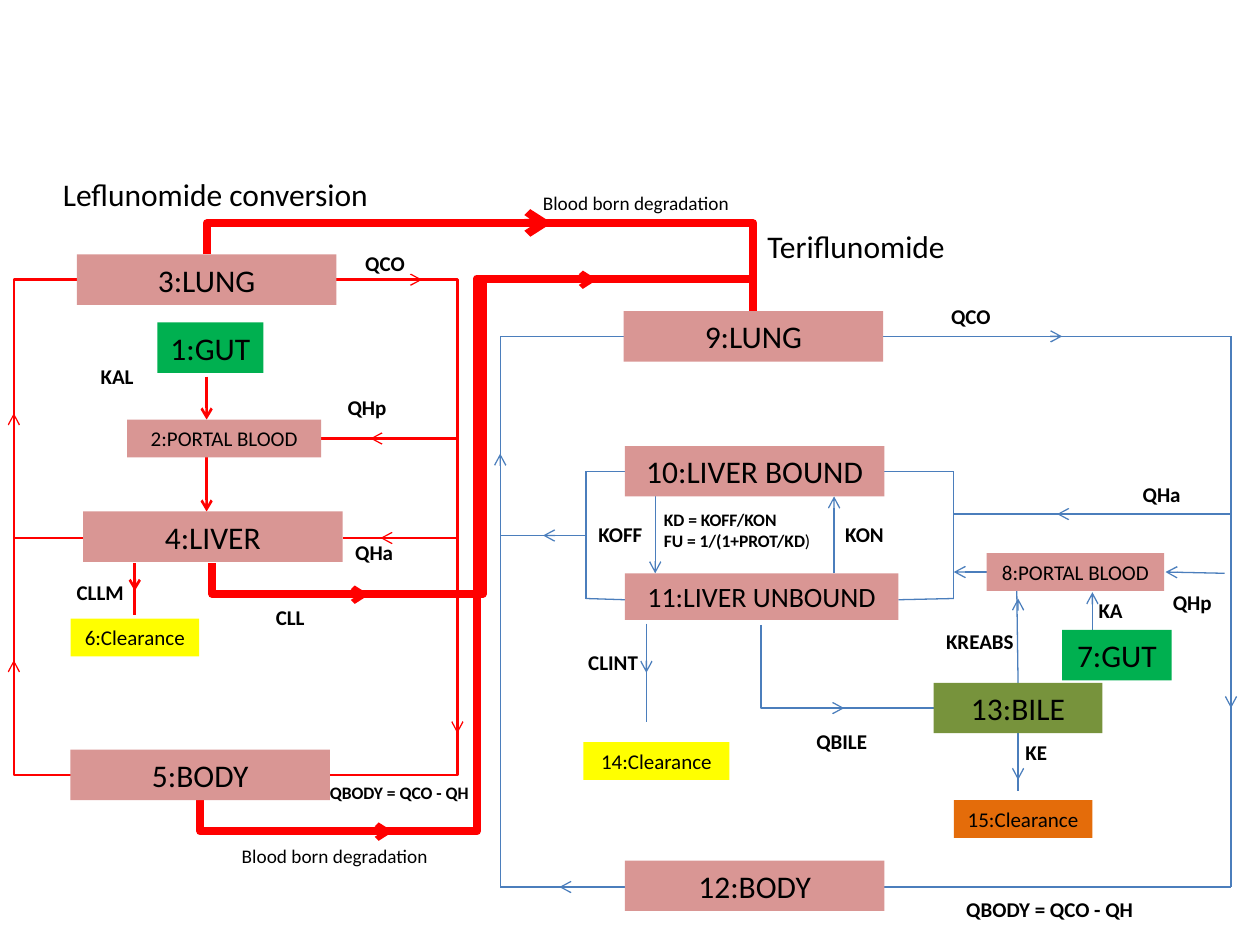
from lxml import etree
from pptx import Presentation
from pptx import util as u
from pptx.dml.color import RGBColor
from pptx.enum import shapes, text
from pptx.oxml.ns import qn

COLORS = {
    "tissue": "D99694", "gut": "00B050", "bile": "77933C",
    "clearance": "FFFF00", "excretion": "E46C0A",
    "parent": "FF0000", "metabolite": "4B7EBC", "ink": "000000",
}
FONT = "Calibri"

# Vertical rails and levels of the two circuits, in inches
P_LEFT, P_RIGHT, P_GUT = 0.11, 3.63, 1.64
M_LEFT, M_RIGHT, M_IN, M_OUT = 3.97, 9.77, 7.57, 4.65
M_LUNG, M_BODY, M_BOUND, M_UNBOUND = 2.67, 7.04, 3.74, 4.75
BILE_X = 8.08

# Compartments: text, left, top, width, height, size, colour
COMPARTMENTS = [
    ("3:LUNG", 0.61, 2.02, 2.06, 0.4, 18, "tissue"),
    ("1:GUT", 1.25, 2.56, 0.84, 0.4, 18, "gut"),
    ("2:PORTAL BLOOD", 1.01, 3.33, 1.54, 0.3, 12, "tissue"),
    ("4:LIVER", 0.66, 4.06, 2.06, 0.4, 18, "tissue"),
    ("6:Clearance", 0.56, 4.91, 1.02, 0.3, 12, "clearance"),
    ("5:BODY", 0.56, 5.95, 2.06, 0.4, 18, "tissue"),
    ("9:LUNG", 4.95, 2.47, 2.06, 0.4, 18, "tissue"),
    ("10:LIVER BOUND", 4.96, 3.54, 2.06, 0.4, 18, "tissue"),
    ("11:LIVER UNBOUND", 4.96, 4.55, 2.17, 0.37, 16, "tissue"),
    ("8:PORTAL BLOOD", 7.83, 4.39, 1.41, 0.3, 12, "tissue"),
    ("7:GUT", 8.43, 5, 0.87, 0.4, 18, "gut"),
    ("13:BILE", 7.41, 5.42, 1.34, 0.4, 18, "bile"),
    ("14:Clearance", 4.63, 5.89, 1.16, 0.3, 12, "clearance"),
    ("15:Clearance", 7.57, 6.35, 1.1, 0.3, 12, "excretion"),
    ("12:BODY", 4.96, 6.83, 2.06, 0.4, 18, "tissue"),
]

# Plain flows: colour, width, (x1, y1, x2, y2)
FLOWS = [
    ("metabolite", 0.75, [
        (7.01, M_LUNG, M_RIGHT, M_LUNG), (M_RIGHT, M_LUNG, M_RIGHT, M_BODY),
        (7.02, M_BODY, M_RIGHT, M_BODY), (M_IN, 4.08, M_RIGHT, 4.08),
        (7.02, M_BOUND, M_IN, M_BOUND), (7.13, 4.76, M_IN, M_UNBOUND),
        (M_IN, M_BOUND, M_IN, M_UNBOUND), (BILE_X, 5.42, 8.07, 4.69),
        (M_LEFT, M_LUNG, M_LEFT, M_BODY), (4.95, M_LUNG, M_LEFT, M_LUNG),
        (4.96, M_BODY, M_LEFT, M_BODY), (4.96, M_BOUND, M_OUT, M_BOUND),
        (4.96, 4.76, M_OUT, M_UNBOUND), (M_OUT, M_BOUND, M_OUT, M_UNBOUND),
        (M_OUT, 4.25, M_LEFT, 4.25), (5.13, 4.95, 5.13, 5.73),
        (BILE_X, 5.82, BILE_X, 6.28)]),
    ("parent", 1.5, [
        (2.72, 4.27, P_RIGHT, 4.27), (P_LEFT, 4.27, 0.66, 4.27),
        (2.55, 3.48, P_RIGHT, 3.48), (1.07, 4.47, 1.07, 4.88)]),
]

# Flows with an arrowhead at the second point
ARROWS = [
    ("metabolite", 0.75, [
        (8.43, 4.08, 8.39, 4.08), (M_LEFT, 3.74, M_LEFT, 3.6),
        (M_RIGHT, 5.34, M_RIGHT, 5.62), (6.54, 5.62, 6.7, 5.62),
        (5.13, 5.29, 5.13, 5.34), (8.28, M_LUNG, 8.43, M_LUNG),
        (4.47, M_BODY, 4.44, M_BODY), (4.44, 4.25, 4.31, 4.25),
        (5.2, 3.94, 5.2, 4.55), (6.62, 4.55, 6.62, 3.94),
        (BILE_X, 4.76, BILE_X, 4.75), (BILE_X, 6.12, BILE_X, 6.19),
        (7.83, 4.54, M_IN, 4.54), (9.72, 4.55, 9.25, 4.54),
        (8.67, 5, 8.67, 4.7)]),
    ("parent", 0.75, [
        (3.19, 2.22, 3.35, 2.22), (3.16, 4.27, 3.02, 4.27),
        (P_RIGHT, 5.48, P_RIGHT, 5.82), (P_LEFT, 5.34, P_LEFT, 5.24),
        (P_LEFT, 3.38, P_LEFT, 3.28), (3.09, 3.48, 2.94, 3.48)]),
    ("parent", 1.5, [
        (P_GUT, 2.99, P_GUT, 3.33), (P_GUT, 3.63, P_GUT, 4.06),
        (1.07, 4.6, 1.07, 4.69)]),
    ("parent", 3, [
        (4.4, 2.22, 4.74, 2.22), (2.59, 4.72, 2.93, 4.72),
        (2.78, 6.6, 3.12, 6.6)]),
    ("parent", 4.5, [(4.13, 1.77, 4.38, 1.77)]),
]

# Elbows: colour, width, ends before turning, turn, preset, bends in percent.
# The 1.5 point pair bends out to the two rails of the parent circuit.
ELBOWS = [
    ("metabolite", 0.75, (7.06, 4.6, 6.4, 5.98), 270, "bentConnector2", []),
    ("parent", 1.5, (2.67, 2.22, 2.62, 6.15), 0, "bentConnector3",
     [100 * (2.67 - P_RIGHT) / 0.05]),
    ("parent", 1.5, (0.56, 6.15, 0.61, 2.22), 180, "bentConnector3",
     [100 * (0.61 - P_LEFT) / 0.05]),
    ("parent", 4.5, (4.03, 0.07, 3.59, 4.41), 270, "bentConnector3", [-56.2]),
    ("parent", 4.5, (4.83, 5.61, 2.83, 1.32), 270, "bentConnector5",
     [-12.5, 50, 112.5]),
    ("parent", 4.5, (5.73, 6.6, 1.84, 2.21), 90, "bentConnector5",
     [-6.4, 50, 106.4]),
]

# Bold rate labels at 12 points: text, left, top, width
RATES = [
    ("QCO", 2.8, 1.94, 0.52), ("KAL", 0.7, 2.84, 0.74),
    ("QHp", 2.66, 3.08, 0.52), ("QHa", 2.72, 4.23, 0.52),
    ("CLLM", 0.51, 4.55, 0.79), ("CLL", 2.09, 4.75, 0.92),
    ("QCO", 7.45, 2.36, 0.52), ("QHa", 8.97, 3.77, 0.52),
    ("KOFF", 4.65, 4.09, 0.72), ("KON", 6.61, 4.09, 0.72),
    ("QHp", 9.21, 4.63, 0.52), ("KA", 8.62, 4.69, 0.62),
    ("KREABS", 7.41, 4.94, 0.79), ("CLINT", 4.57, 5.11, 0.79),
    ("QBILE", 6.38, 5.73, 0.62), ("KE", 8.04, 5.82, 0.79),
    ("QBODY = QCO - QH", 7.57, 7.07, 1.56),
]


def cm(inches):
    return u.Cm(inches * 2.54)


def rgb(name):
    return RGBColor.from_string(COLORS[name])


def style(run, size, bold=False):
    run.font.name, run.font.size, run.font.bold = FONT, u.Pt(size), bold
    run.font.color.rgb = rgb("ink")


def write(frame, words, size, bold=False, align=text.PP_ALIGN.LEFT):
    frame.word_wrap = True
    frame.text = words
    for paragraph in frame.paragraphs:
        paragraph.alignment = align
        for run in paragraph.runs:
            style(run, size, bold)


def add_compartment(slide, words, left, top, width, height, size, color):
    box = slide.shapes.add_shape(shapes.MSO_SHAPE.RECTANGLE,
                                 *map(cm, (left, top, width, height)))
    box.shadow.inherit = False
    box.fill.solid()
    box.fill.fore_color.rgb = rgb(color)
    box.line.fill.background()
    frame = box.text_frame
    frame.margin_left = frame.margin_right = u.Cm(0.1)
    frame.vertical_anchor = text.MSO_ANCHOR.MIDDLE
    write(frame, words, size, align=text.PP_ALIGN.CENTER)


def add_label(slide, words, left, top, width, height=0.3, size=12, bold=True,
              align=text.PP_ALIGN.LEFT):
    label = slide.shapes.add_textbox(*map(cm, (left, top, width, height)))
    write(label.text_frame, words, size, bold, align)
    return label


def add_flow(slide, color, width, ends, head=False,
             kind=shapes.MSO_CONNECTOR.STRAIGHT):
    flow = slide.shapes.add_connector(kind, *map(cm, ends))
    flow.line.color.rgb = rgb(color)
    flow.line.width = u.Pt(width)
    properties = flow._element.spPr
    if head:
        etree.SubElement(properties.find(qn("a:ln")), qn("a:tailEnd"), type="arrow")
    etree.SubElement(properties, qn("a:effectLst"))
    return flow


def add_elbow(slide, color, width, ends, turn, preset, bends):
    elbow = add_flow(slide, color, width, ends, kind=shapes.MSO_CONNECTOR.ELBOW)
    properties = elbow._element.spPr
    properties.find(qn("a:xfrm")).set("rot", str(turn * 60000))
    geometry = properties.find(qn("a:prstGeom"))
    geometry.set("prst", preset)
    guides = geometry.find(qn("a:avLst"))
    if guides is None:
        guides = etree.SubElement(geometry, qn("a:avLst"))
    for number, bend in enumerate(bends, 1):
        etree.SubElement(guides, qn("a:gd"), name=f"adj{number}",
                         fmla=f"val {round(bend * 1000)}")


def main():
    deck = Presentation()
    deck.slide_width, deck.slide_height = u.Cm(25.4), u.Cm(19.05)
    slide = deck.slides.add_slide(deck.slide_layouts[6])

    # Flows between compartments
    for group, head in ((FLOWS, False), (ARROWS, True)):
        for color, width, routes in group:
            for ends in routes:
                add_flow(slide, color, width, ends, head)
    for elbow in ELBOWS:
        add_elbow(slide, *elbow)

    # Compartments and rates
    for compartment in COMPARTMENTS:
        add_compartment(slide, *compartment)
    for rate in RATES:
        add_label(slide, *rate)

    # Circuit headings and remarks
    add_label(slide, "Leflunomide conversion", 0.4, 1.34, 2.78, 0.4, 18, False)
    add_label(slide, "Teriflunomide", 5.52, 1.75, 2.55, 0.4, 18, False,
              text.PP_ALIGN.CENTER)
    for left, top in ((4.21, 1.47), (1.82, 6.65)):
        add_label(slide, "Blood born degradation", left, top, 1.81, 0.29, 11, False)
    add_label(slide, "QBODY = QCO - QH", 2.52, 6.16, 1.45, 0.27, 10)

    # Binding equations, with a regular closing bracket
    binding = add_label(slide, "KD = KOFF/KON\nFU = 1/(1+PROT/KD",
                        5.17, 3.99, 1.45, 0.44, 10)
    bracket = binding.text_frame.paragraphs[1].add_run()
    bracket.text = ")"
    style(bracket, 10)

    deck.save("out.pptx")


main()
